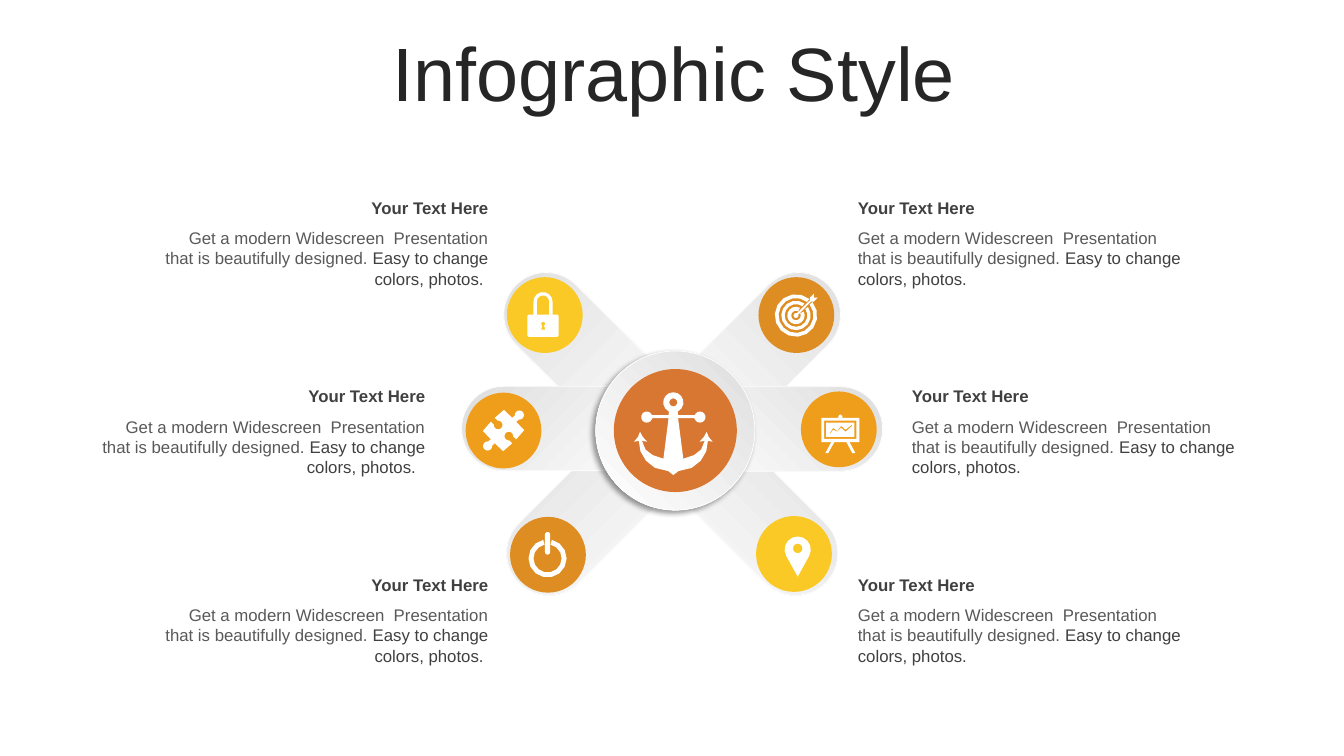
from dataclasses import dataclass
from math import cos, radians, sin

from lxml import etree
from pptx import Presentation
from pptx.dml.color import RGBColor
from pptx.enum.shapes import MSO_SHAPE
from pptx.enum.text import MSO_ANCHOR, PP_ALIGN
from pptx.oxml.ns import qn
from pptx.util import Cm, Pt

ROUNDED, OVAL = MSO_SHAPE.ROUNDED_RECTANGLE, MSO_SHAPE.OVAL
LEFT, RIGHT, CENTER = PP_ALIGN.LEFT, PP_ALIGN.RIGHT, PP_ALIGN.CENTER
MIDDLE = MSO_ANCHOR.MIDDLE
FONT = "Arial"
COLORS = {
    "title": "262626", "heading": "404040", "body": "595959", "white": "FFFFFF",
    "silver": "DEDEDE", "yellow": "FAC926", "amber": "EF9E1B", "ochre": "DE8D22",
    "orange": "D87732", "shadow": "000000",
}
HUB = (17.02, 10.85)
ARM_SIZE, DISC_SIZE = (5.21, 2.13), 1.91
Contour = list[tuple[float, float]]


@dataclass
class Spoke:
    arm: tuple[float, float]
    disc: tuple[float, float]
    rotation: int
    flipped: bool
    color: str
    icon: list[Contour]


@dataclass
class Label:
    left: float
    row: int
    align: PP_ALIGN
    ending: str = ""


# Icon outlines, in millimetres from the centre of their disc
def arc(x: float, y: float, radius: float, start: int, end: int) -> Contour:
    steps = max(2, abs(end - start) // 24)
    angles = [radians(start + (end - start) * i / steps) for i in range(steps + 1)]
    return [(x + radius * cos(a), y + radius * sin(a)) for a in angles]


def open_ring(x: float, y: float, outer: float, inner: float, gap_at: int, gap: int) -> Contour:
    start, end = gap_at + gap, gap_at + 360 - gap
    return arc(x, y, outer, start, end) + arc(x, y, inner, end, start)


def box(left: float, top: float, right: float, bottom: float) -> Contour:
    return [(left, top), (right, top), (right, bottom), (left, bottom)]


def puzzle_icon() -> list[Contour]:
    half = [(0.1, -5.2), (2.2, -3.2), *arc(4, -3.9, 1.15, 175, 455), (3.2, -2.2),
            (5.2, -0.1), (3.2, 2.2), *arc(1.35, 1.4, 1.1, 5, -275), (2.2, 3.2)]
    return [half + [(-x, -y) for x, y in half]]


def anchor_icon() -> list[Contour]:
    axis = -0.5
    half = [*arc(0, -7.1, 2.55, -90, 60), (1.1, -4.8), (1.2, -3.9), (5.3, -3.9),
            *arc(6.7, -3.4, 1.4, 200, 520), (5.3, -3.1), (1.2, -3.1), (2.5, 7.1),
            (5.2, 6.2), (7, 4.8), (7.9, 2.6), (6.6, 2.8), (7.7, 1.6), (8.4, 0.3),
            (8.9, 1.6), (9.9, 2.8), (8.7, 2.6), (8.3, 5.2), (6.9, 7.6), (4.6, 9.4),
            (1.3, 10.2), (0, 11.2)]
    outline = half + [(-x, y) for x, y in reversed(half)]
    return [[(axis + x, y) for x, y in outline], arc(axis, -7.1, 1, 0, 360)]


POWER = [
    open_ring(-0.1, 0.9, 4.8, 3.55, -90, 13),
    arc(-0.1, -5.1, 0.65, 180, 360) + arc(-0.1, -0.7, 0.65, 0, 180),
]
LOCK = [
    [*arc(-0.45, -3.4, 2.4, 180, 360), (1.95, -0.1), *arc(3, 0.4, 0.5, -90, 0),
     *arc(3, 5, 0.5, 0, 90), *arc(-3.9, 5, 0.5, 90, 180),
     *arc(-3.9, 0.4, 0.5, 180, 270), (-2.85, -0.1)],
    [*arc(-0.45, -3.4, 1.55, 180, 360), (1.1, -0.1), (-2, -0.1)],
    [*arc(-0.4, 2.2, 0.5, 120, 420), (0.1, 3.7), (-0.9, 3.7)],
]
PIN = [arc(0.94, -1.1, 3.3, 150, 390) + [(0.94, 5.7)], arc(0.94, -1.4, 1.2, 0, 360)]
TARGET = [
    open_ring(-0.1, 0.1, 5.35, 4.4, -45, 6),
    open_ring(-0.1, 0.1, 3.7, 2.85, -45, 10),
    open_ring(-0.1, 0.1, 2.2, 1.2, -45, 18),
    [*arc(-0.1, 0.1, 0.6, -20, 290), (3.4, -3.7), (3.4, -4.4), (4.4, -5.4),
     (4.4, -4.4), (5.4, -4.4), (4.4, -3.4), (3.7, -3.4)],
]
BOARD = [
    [*arc(0.4, -3.2, 0.5, 180, 360), (0.9, -2.9), (5.2, -2.9), (5.2, 3.2), (2.7, 3.2),
     (4.2, 6), (3.4, 6), (1.9, 3.2), (-1.1, 3.2), (-2.7, 6), (-3.4, 6), (-1.9, 3.2),
     (-4.4, 3.2), (-4.4, -2.9), (-0.1, -2.9)],
    box(-3.7, -2.2, 4.4, 2.4),
    box(-3.2, -1.7, 3.9, 1.9),
    [(-2.4, 1.1), (-1.4, -0.4), (-0.4, 0.4), (0.6, -0.9), (1.7, 0.1), (3.2, -1.1),
     (3.4, -0.9), (1.7, 0.6), (0.6, -0.4), (-0.4, 0.6), (-1.4, 0.1), (-2.2, 1.1)],
]

SPOKES = [
    Spoke((14.92, 12.85), (13.81, 13.98), 315, True, "ochre", POWER),
    Spoke((14.85, 9.02), (13.73, 7.94), 45, True, "yellow", LOCK),
    Spoke((14.24, 10.8), (12.69, 10.85), 0, True, "amber", puzzle_icon()),
    Spoke((18.96, 12.85), (20.01, 13.96), 45, False, "yellow", PIN),
    Spoke((19.03, 9.02), (20.07, 7.94), 315, False, "ochre", TARGET),
    Spoke((19.64, 10.81), (21.14, 10.82), 0, False, "amber", BOARD),
]
LABELS = [
    Label(21.37, 0, LEFT), Label(22.73, 1, LEFT), Label(21.37, 2, LEFT),
    Label(3.77, 0, RIGHT, " "), Label(2.18, 1, RIGHT, "  "), Label(3.77, 2, RIGHT, " "),
]


def rgb(name: str) -> RGBColor:
    return RGBColor.from_string(COLORS[name])


def add_centered(slide, kind, center: tuple[float, float], width: float, height: float):
    shape = slide.shapes.add_shape(kind, Cm(center[0] - width / 2), Cm(center[1] - height / 2),
                                   Cm(width), Cm(height))
    shape.shadow.inherit = False
    return shape


def fill_plain(shape, color: str) -> None:
    shape.fill.solid()
    shape.fill.fore_color.rgb = rgb(color)
    shape.line.fill.background()


def fill_silver(shape) -> None:
    shape.fill.gradient()
    shape.fill.gradient_angle = 225
    for stop, color, position in zip(shape.fill.gradient_stops, ("silver", "white"), (0, 1)):
        stop.color.rgb = rgb(color)
        stop.position = position
    shape._element.spPr.find(qn("a:gradFill")).set("rotWithShape", "0")
    shape.line.color.rgb = rgb("white")
    shape.line.width = Pt(0.5)


def add_disc(slide, center: tuple[float, float], size: float, color: str) -> None:
    fill_plain(add_centered(slide, OVAL, center, size, size), color)


def add_icon(slide, center: tuple[float, float], contours: list[Contour]) -> None:
    builder = None
    for contour in contours:
        points = [(Cm(center[0] + x / 10), Cm(center[1] + y / 10)) for x, y in contour]
        if builder is None:
            builder = slide.shapes.build_freeform(*points[0])
        else:
            builder.move_to(*points[0])
        builder.add_line_segments(points[1:], close=True)
    shape = builder.convert_to_shape()
    shape.shadow.inherit = False
    fill_plain(shape, "white")


def add_spoke(slide, spoke: Spoke) -> None:
    arm = add_centered(slide, ROUNDED, spoke.arm, *ARM_SIZE)
    arm.adjustments[0] = 0.5
    arm.rotation = spoke.rotation
    if spoke.flipped:
        arm._element.spPr.find(qn("a:xfrm")).set("flipH", "1")
    fill_silver(arm)
    add_disc(slide, spoke.disc, DISC_SIZE, spoke.color)
    add_icon(slide, spoke.disc, spoke.icon)


def add_hub(slide) -> None:
    hub = add_centered(slide, OVAL, HUB, 4.01, 4.01)
    fill_silver(hub)
    effects = hub._element.spPr.find(qn("a:effectLst"))
    shadow = etree.SubElement(effects, qn("a:outerShdw"), blurRad=str(Pt(4)), dist=str(Pt(3)),
                              dir="8100000", algn="tr", rotWithShape="0")
    color = etree.SubElement(shadow, qn("a:srgbClr"), val=COLORS["shadow"])
    etree.SubElement(color, qn("a:alpha"), val="40000")
    add_disc(slide, HUB, 3.1, "orange")
    add_icon(slide, HUB, anchor_icon())


def add_run(paragraph, text: str, size: int, color: str, bold: bool = False) -> None:
    run = paragraph.add_run()
    run.text = text
    run.font.name, run.font.size, run.font.bold = FONT, Pt(size), bold
    run.font.color.rgb = rgb(color)


def add_label(slide, label: Label) -> None:
    top = 4.85 + 4.75 * label.row
    heading = [("Your Text Here", "heading", True)]
    body = [("Get a modern Widescreen  Presentation that is beautifully designed. ", "body", False),
            ("Easy to change colors, photos." + label.ending, "heading", False)]
    for offset, height, runs in ((0, 0.76, heading), (0.77, 1.8, body)):
        text_box = slide.shapes.add_textbox(Cm(label.left), Cm(top + offset), Cm(8.79), Cm(height))
        text_box.text_frame.word_wrap = True
        paragraph = text_box.text_frame.paragraphs[0]
        paragraph.alignment = label.align
        for text, color, bold in runs:
            add_run(paragraph, text, 12, color, bold)


def add_title(slide) -> None:
    title = slide.shapes.title
    title.left, title.top, title.width, title.height = Cm(0.9), Cm(0.94), Cm(32.16), Cm(2.01)
    title.text_frame.vertical_anchor = MIDDLE
    paragraph = title.text_frame.paragraphs[0]
    paragraph.alignment = CENTER
    paragraph.line_spacing = 0.9
    add_run(paragraph, "Infographic Style", 54, "title")


def main() -> None:
    presentation = Presentation()
    presentation.slide_width, presentation.slide_height = Cm(33.87), Cm(19.05)
    slide = presentation.slides.add_slide(presentation.slide_layouts[5])
    add_title(slide)
    for spoke in SPOKES:
        add_spoke(slide, spoke)
    add_hub(slide)
    for label in LABELS:
        add_label(slide, label)
    presentation.save("out.pptx")


if __name__ == "__main__":
    main()
